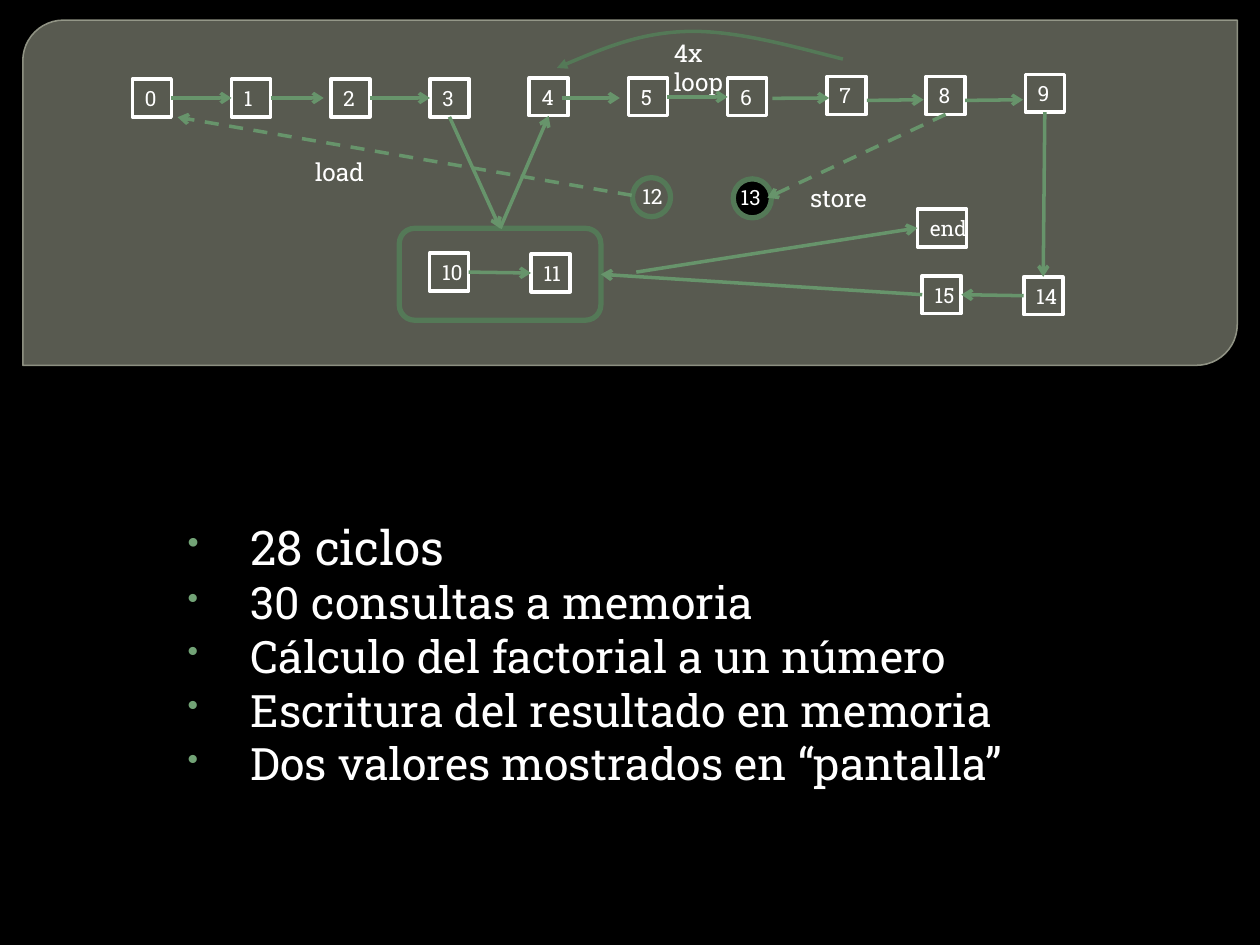
from lxml import etree
from pptx import Presentation
from pptx.dml.color import RGBColor
from pptx.enum.dml import MSO_LINE
from pptx.enum.shapes import MSO_CONNECTOR, MSO_SHAPE
from pptx.enum.text import MSO_ANCHOR, PP_ALIGN
from pptx.oxml.ns import qn
from pptx.util import Pt

BLACK = RGBColor(0x00, 0x00, 0x00)
WHITE = RGBColor(0xFF, 0xFF, 0xFF)
PANEL = RGBColor(0x88, 0x8B, 0x7B)
PANEL_LINE = RGBColor(0x9D, 0xA0, 0x90)
GREEN = RGBColor(0x67, 0x94, 0x6B)
DARK_GREEN = RGBColor(0x54, 0x79, 0x57)
BULLET = RGBColor(0x72, 0xA3, 0x76)
FONT = "Roboto Slab"
STRAIGHT = MSO_CONNECTOR.STRAIGHT
DASH = MSO_LINE.DASH
TOP, MIDDLE = MSO_ANCHOR.TOP, MSO_ANCHOR.MIDDLE
LEFT = PP_ALIGN.LEFT
RECT, ELLIPSE = MSO_SHAPE.RECTANGLE, MSO_SHAPE.OVAL
ROUNDED = MSO_SHAPE.ROUNDED_RECTANGLE
DIAGONAL = MSO_SHAPE.ROUND_2_DIAG_RECTANGLE

prs = Presentation()
prs.slide_width, prs.slide_height = Pt(720), Pt(540)
s = prs.slides.add_slide(prs.slide_layouts[6])
s.background.fill.solid()
s.background.fill.fore_color.rgb = BLACK


def add_shape(kind, x, y, w, h, color, weight, fill=None):
    sp = s.shapes.add_shape(kind, Pt(x), Pt(y), Pt(w), Pt(h))
    sp.shadow.inherit = False
    if fill is None:
        sp.fill.background()
    else:
        sp.fill.solid()
        sp.fill.fore_color.rgb = fill
    sp.line.color.rgb = color
    sp.line.width = Pt(weight)
    return sp


def write(sp, text, size=12, wrap=False, anchor=TOP):
    tf = sp.text_frame
    tf.word_wrap = wrap
    tf.vertical_anchor = anchor
    tf.text = text
    for p in tf.paragraphs:
        p.alignment = LEFT
        for r in p.runs:
            r.font.name = FONT
            r.font.size = Pt(size)
            r.font.color.rgb = WHITE
    return tf


panel = add_shape(DIAGONAL, 13, 11.5, 694, 197.3, PANEL_LINE, 0.87, PANEL)
panel.adjustments[0] = 0.118
panel.adjustments[1] = 0
for color, alpha in zip(panel._element.spPr.iter(qn("a:srgbClr")), ("65000", "88000")):
    etree.SubElement(color, qn("a:alpha"), val=alpha)

add_shape(ELLIPSE, 419, 102.2, 21.8, 22.3, DARK_GREEN, 3, BLACK)
add_shape(ELLIPSE, 361.4, 101.5, 21.8, 22.3, DARK_GREEN, 3)

row_tops = [45.2] * 4 + [44.6] * 3 + [43.8] * 2 + [42.5]
boxes = [(str(i), 75.6 + 56.7 * i, top, 22.3) for i, top in enumerate(row_tops)]
boxes += [
    ("10", 245.5, 144.7, 22.3),
    ("11", 303.5, 145.2, 22.3),
    ("14", 585, 158.2, 22.3),
    ("15", 527, 157.6, 22.3),
    ("end", 524.2, 119.5, 28.1),
]
nodes = {}
for name, x, y, w in boxes:
    nodes[name] = add_shape(RECT, x, y, w, 21.6, WHITE, 2)
    write(nodes[name], name, anchor=MIDDLE)
nodes["frame"] = add_shape(ROUNDED, 228.2, 130.5, 115.2, 52.5, DARK_GREEN, 3)

labels = [
    ("12", 360, 101.5, 36, 21.6, 12, True),
    ("13", 416.2, 102.2, 36, 21.6, 12, True),
    ("load", 172.8, 86.4, 54.7, 24.5, 14, True),
    ("store", 455.8, 100.8, 56.9, 24.5, 14, True),
    ("4x loop", 378, 18, 56.9, 24.5, 14, True),
]
for text, x, y, w, h, size, wrap in labels:
    tb = s.shapes.add_textbox(Pt(x), Pt(y), Pt(w), Pt(h))
    write(tb, text, size=size, wrap=wrap)

arrows = [
    (("0", 3), ("1", 1), None),
    (("1", 3), (185, 56), None),
    (("2", 3), ("3", 1), None),
    ((321, 56), (354.2, 56), None),
    (("5", 3), ("6", 1), None),
    ((441.4, 56.2), (473.8, 56), None),
    ((495.4, 57.4), (527.8, 57), None),
    ((551.5, 57.4), (584.6, 57), None),
    (("9", 2), ("14", 0), None),
    (("14", 1), ("15", 3), None),
    (("10", 3), ("11", 1), None),
    (("3", 2), ("frame", 0), None),
    (("frame", 0), ("4", 2), None),
    (("15", 1), ("frame", 3), None),
    ((363.6, 155.5), ("end", 1), None),
    ((361, 111.6), (101.5, 67), DASH),
    (("8", 2), (438.5, 113), DASH),
]
for start, end, dash in arrows:
    x1, y1 = (0, 0) if start[0] in nodes else start
    x2, y2 = (0, 0) if end[0] in nodes else end
    c = s.shapes.add_connector(STRAIGHT, Pt(x1), Pt(y1), Pt(x2), Pt(y2))
    if start[0] in nodes:
        c.begin_connect(nodes[start[0]], start[1])
    if end[0] in nodes:
        c.end_connect(nodes[end[0]], end[1])
    c.line.color.rgb = GREEN
    c.line.width = Pt(2)
    if dash:
        c.line.dash_style = dash
    spPr = c._element.spPr
    etree.SubElement(spPr.find(qn("a:ln")), qn("a:tailEnd"), type="arrow")
    etree.SubElement(spPr, qn("a:effectLst"))

curve = [(451, 26), (419.8, 17.3), (393, 18), (365.8, 18.7), (342, 28.8), (318.2, 38.9)]
fb = s.shapes.build_freeform(Pt(481.7), Pt(33.8))
fb.add_line_segments([(Pt(x), Pt(y)) for x, y in curve], close=False)
loop = fb.convert_to_shape()
loop.shadow.inherit = False
loop.fill.background()
loop.line.color.rgb = DARK_GREEN
loop.line.width = Pt(2)
spPr = loop._element.spPr
etree.SubElement(spPr.find(qn("a:ln")), qn("a:tailEnd"), type="triangle")
segments = list(spPr.iter(qn("a:lnTo")))
outline = segments[0].getparent()
for i in range(0, len(segments), 3):
    bezier = etree.SubElement(outline, qn("a:cubicBezTo"))
    for segment in segments[i:i + 3]:
        bezier.append(segment[0])
        outline.remove(segment)

facts = [
    "28 ciclos",
    "30 consultas a memoria",
    "Cálculo del factorial a un número",
    "Escritura del resultado en memoria",
    "Dos valores mostrados en “pantalla”",
]
tb = s.shapes.add_textbox(Pt(103.7), Pt(292.5), Pt(516.2), Pt(138.2))
tf = write(tb, "\n".join(facts), size=25.5, wrap=True)
tf.margin_left = tf.margin_top = tf.margin_bottom = Pt(3.6)
tf.margin_right = Pt(19.4)
tf.paragraphs[0].runs[0].font.size = Pt(27.2)
for p in tf.paragraphs:
    p.line_spacing = 1.0
    pPr = p._p.get_or_add_pPr()
    pPr.set("marL", str(Pt(36)))
    pPr.set("indent", str(-Pt(36)))
    color = etree.SubElement(pPr, qn("a:buClr"))
    etree.SubElement(color, qn("a:srgbClr"), val=str(BULLET))
    etree.SubElement(pPr, qn("a:buSzPct"), val="70000")
    etree.SubElement(pPr, qn("a:buChar"), char="•")

prs.save("out.pptx")
